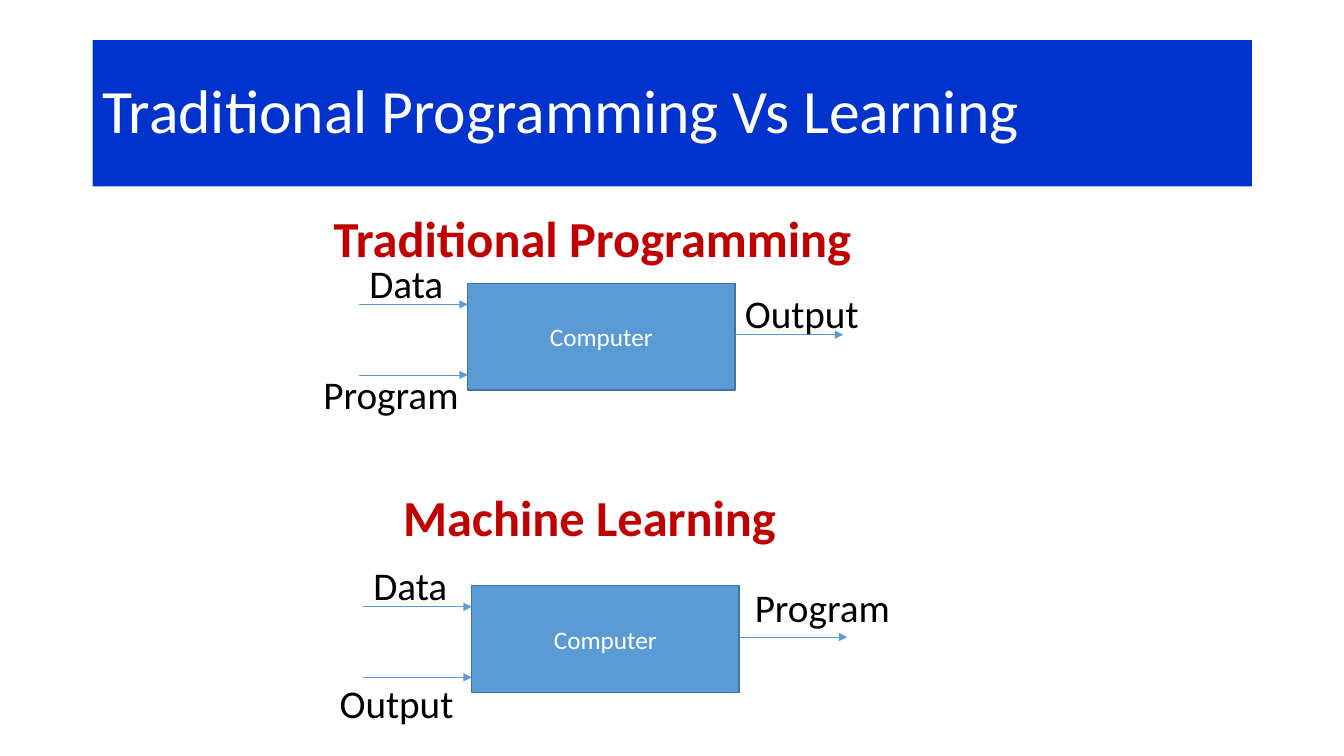
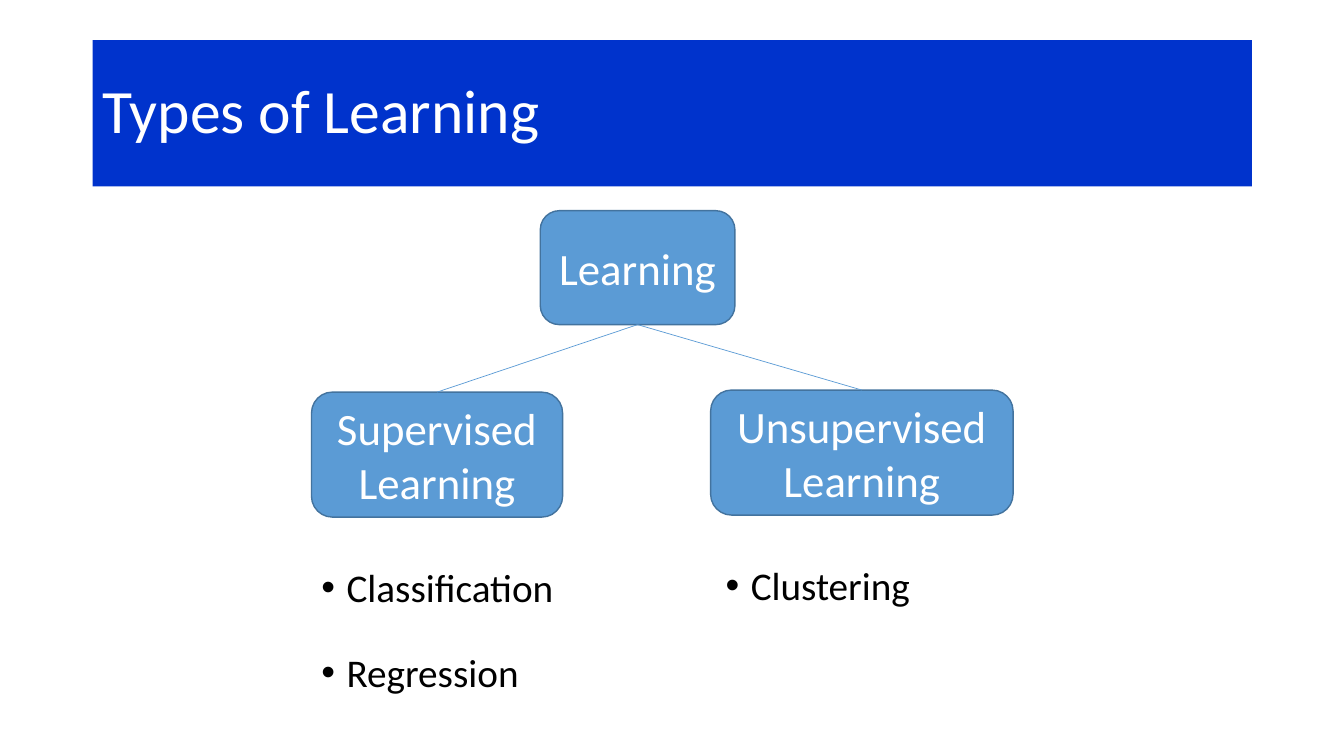
import pptx
import pptx.util
import pptx.dml.color
import pptx.enum.shapes
import pptx.enum.text
import pptx.oxml.ns
import lxml.etree

hue = pptx.dml.color.RGBColor.from_string
kinds = pptx.enum.shapes.MSO_SHAPE
align = pptx.enum.text.PP_ALIGN
anchor = pptx.enum.text.MSO_ANCHOR
qn = pptx.oxml.ns.qn
BAND, BLUE, EDGE = "0033CC", "5B9BD5", "43739E"
RED, WHITE, BLACK = "C00000", "FFFFFF", "000000"

deck = pptx.Presentation()
deck.slide_width = pptx.util.Inches(13.33)
deck.slide_height = pptx.util.Inches(7.5)
col, row = deck.slide_width / 100, deck.slide_height / 100


def put(page, box, lines, size, tone, kind=None, fill=None, edge=None, side=align.LEFT):
    x, y, w, h = box
    area = [int(x * col), int(y * row), int(w * col), int(h * row)]
    if kind is None:
        item = page.shapes.add_textbox(*area)
    else:
        item = page.shapes.add_shape(kind, *area)
        item.shadow.inherit = False
        item.fill.solid()
        item.fill.fore_color.rgb = hue(fill)
        if edge:
            item.line.color.rgb = hue(edge)
            item.line.width = pptx.util.Pt(1)
        else:
            item.line.fill.background()
    frame = item.text_frame
    frame.word_wrap = kind is not None
    frame.vertical_anchor = anchor.MIDDLE if kind else anchor.TOP
    frame.text = "\n".join(lines)
    for para in frame.paragraphs:
        para.alignment = side
        para.font.name = "Calibri"
        para.font.size = pptx.util.Pt(size)
        para.font.color.rgb = hue(tone)
    return item


def link(page, start, end, head=False):
    (x, y), (u, v) = start, end
    line = page.shapes.add_connector(
        pptx.enum.shapes.MSO_CONNECTOR.STRAIGHT,
        int(x * col), int(y * row), int(u * col), int(v * row))
    line.line.color.rgb = hue(BLUE)
    line.line.width = pptx.util.Pt(0.5)
    if head:
        lxml.etree.SubElement(line.line._get_or_add_ln(), qn("a:tailEnd"), type="triangle")
    lxml.etree.SubElement(line._element.spPr, qn("a:effectLst"))
    return line


pages = []
for title in ["Traditional Programming Vs Learning", "Types of Learning"]:
    page = deck.slides.add_slide(deck.slide_layouts[6])
    band = put(page, (6.9, 5.33, 86.25, 19.33), [title], 44, WHITE, kinds.RECTANGLE, BAND)
    band.text_frame.paragraphs[0].line_spacing = 0.9
    pages.append(page)
flow, tree = pages

wide, high, reach = 19.88, 14.13, 8.06
flows = [
    (34.8, 37.47, "Traditional Programming", (24.08, 26.8, 40.5, 9.47),
     [("Data", -8.06, -3.87, 7.05), ("Program", -11.48, 10.8, 11.7),
      ("Output", 19.88, 0.13, 10.05)]),
    (35.1, 77.47, "Machine Learning", (29.25, 63.6, 29.55, 9.47),
     [("Data", -8.06, -3.87, 7.05), ("Output", -10.57, 11.73, 10.05),
      ("Program", 20.32, -0.93, 11.7)]),
]
for x, y, name, box, labels in flows:
    head = put(flow, box, [name], 36, RED)
    head.text_frame.paragraphs[0].font.bold = True
    put(flow, (x, y, wide, high), ["Computer"], 18, WHITE,
        kinds.RECTANGLE, BLUE, EDGE, align.CENTER)
    for start, drop in [(-reach, 2.8), (-reach, 12.13), (wide, 6.8)]:
        link(flow, (x + start, y + drop), (x + start + reach, y + drop), True)
    for word, dx, dy, w in labels:
        put(flow, (x + dx, y + dy, w, 7.6), [word], 28, BLACK)

top, left, right = [
    put(tree, box, lines, 32, WHITE, kinds.ROUNDED_RECTANGLE, BLUE, EDGE, align.CENTER)
    for box, lines in [
        ((40.2, 27.87, 14.48, 15.07), ["Learning"]),
        ((23.18, 51.87, 18.68, 16.53), ["Supervised", "Learning"]),
        ((52.88, 51.6, 22.5, 16.53), ["Unsupervised", "Learning"]),
    ]
]
for child in [left, right]:
    line = link(tree, (0, 0), (1, 1))
    line.begin_connect(top, 2)
    line.end_connect(child, 0)

for x, y, lines in [(23.18, 70.8, ["Classification", "Regression"]),
                    (53.25, 70.53, ["Clustering"])]:
    notes = put(tree, (x, y, 21.75, 23.73), lines, 28, BLACK)
    notes.text_frame.word_wrap = True
    for para in notes.text_frame.paragraphs:
        para.line_spacing = 1.5
        para.space_before = pptx.util.Pt(10)
        props = para._p.get_or_add_pPr()
        dent = pptx.util.Inches(0.25)
        props.set("marL", str(dent))
        props.set("indent", str(-dent))
        font = lxml.etree.Element(qn("a:buFont"), typeface="Arial")
        mark = lxml.etree.Element(qn("a:buChar"), char="•")
        props.find(qn("a:spcBef")).addnext(font)
        font.addnext(mark)

deck.save("out.pptx")
